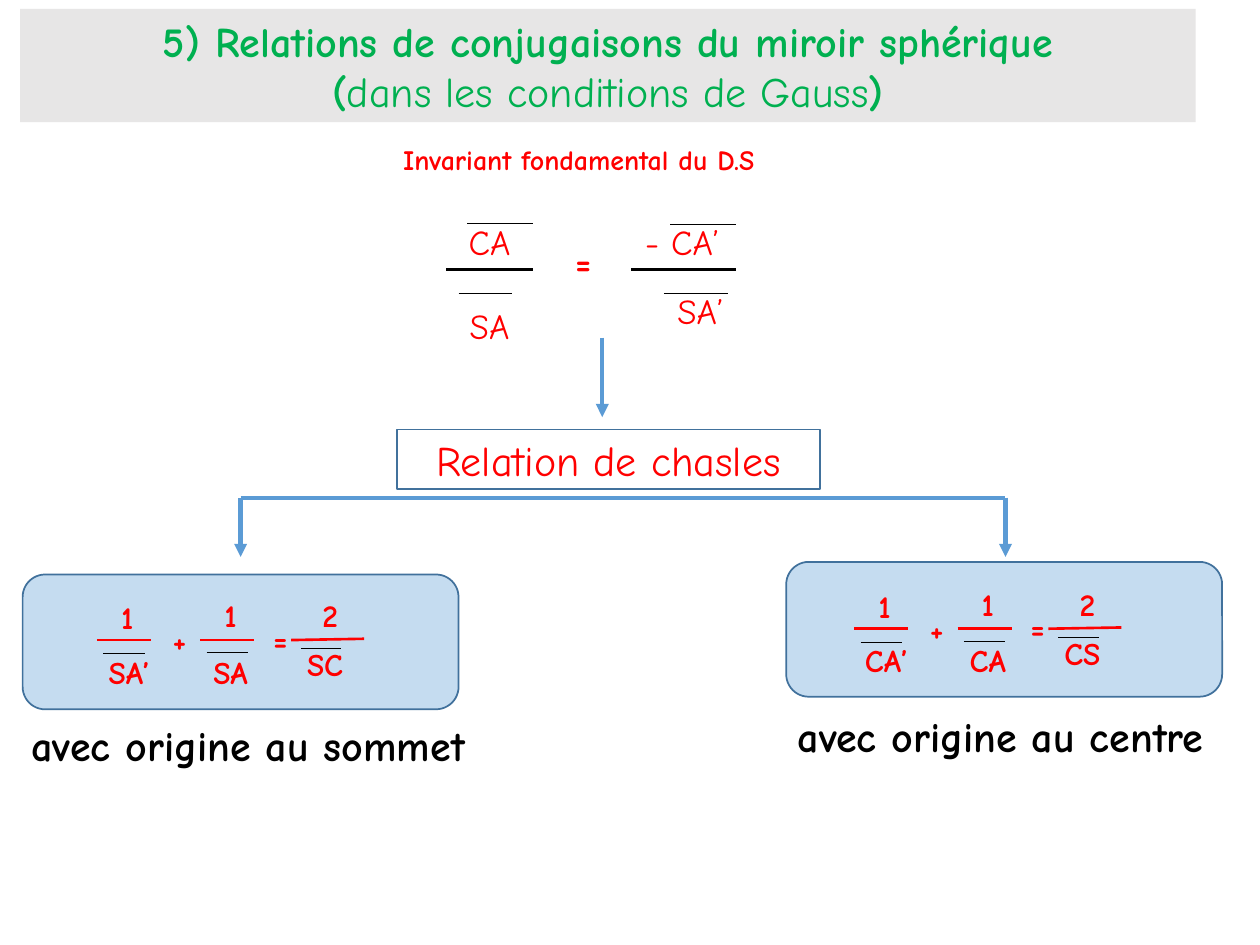
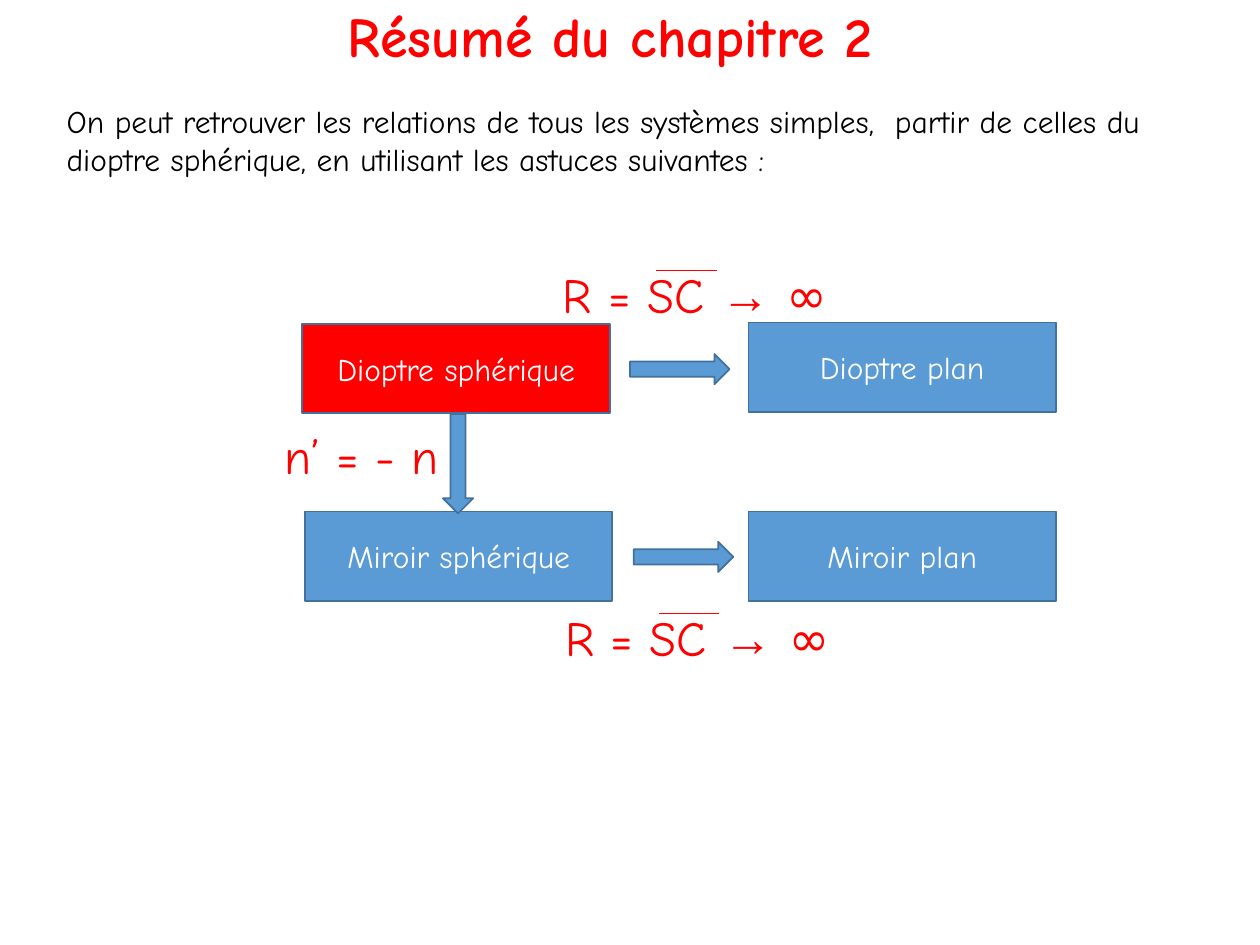
"""Build two slides on the conjugation relations of the spherical mirror."""
from lxml import etree
from pptx import Presentation
from pptx.dml.color import RGBColor
from pptx.enum.shapes import MSO_CONNECTOR, MSO_SHAPE, MSO_SHAPE_TYPE
from pptx.enum.text import MSO_ANCHOR, MSO_AUTO_SIZE, PP_ALIGN
from pptx.oxml.ns import qn
from pptx.util import Inches, Pt

RED = RGBColor(0xFF, 0x00, 0x00)
GREEN = RGBColor(0x00, 0xB0, 0x50)
BLUE = RGBColor(0x5B, 0x9B, 0xD5)
DARK_BLUE = RGBColor(0x41, 0x71, 0x9C)
GRAY = RGBColor(0xE7, 0xE6, 0xE6)
BLACK = RGBColor(0x00, 0x00, 0x00)
WHITE = RGBColor(0xFF, 0xFF, 0xFF)
FONT = "Comic Neue"
SYMBOL_FONT = "Arial"
LEFT, CENTER = PP_ALIGN.LEFT, PP_ALIGN.CENTER
TOP, MIDDLE = MSO_ANCHOR.TOP, MSO_ANCHOR.MIDDLE
NO_AUTOFIT = MSO_AUTO_SIZE.NONE
STRAIGHT = MSO_CONNECTOR.STRAIGHT
RECTANGLE, ROUNDED = MSO_SHAPE.RECTANGLE, MSO_SHAPE.ROUNDED_RECTANGLE
RIGHT_ARROW = MSO_SHAPE.RIGHT_ARROW
AUTO_SHAPE = MSO_SHAPE_TYPE.AUTO_SHAPE


def write(shape, *paragraphs, size=18, color=RED, bold=False, align=CENTER,
          anchor=TOP, wrap=True, spacing=1.0):
    """Fill a shape; a paragraph is a string or a list of (text, bold, font) runs."""
    frame = shape.text_frame
    frame.auto_size = NO_AUTOFIT
    frame.word_wrap = wrap
    frame.vertical_anchor = anchor
    for index, content in enumerate(paragraphs):
        paragraph = frame.add_paragraph() if index else frame.paragraphs[0]
        paragraph.alignment = align
        paragraph.line_spacing = spacing
        runs = [(content, bold, FONT)] if isinstance(content, str) else content
        for text, run_bold, font in runs:
            run = paragraph.add_run()
            run.text = text
            run.font.name = font
            run.font.size = Pt(size)
            run.font.bold = run_bold
            run.font.color.rgb = color


def connect(slide, start, end, color, width, arrow=False):
    """Draw a straight line, with an arrowhead at its end if asked."""
    connector = slide.shapes.add_connector(STRAIGHT, *map(Inches, start + end))
    connector.line.color.rgb = color
    connector.line.width = Pt(width)
    if arrow:
        etree.SubElement(connector.line._get_or_add_ln(), qn("a:tailEnd"), type="triangle")
    etree.SubElement(connector._element.spPr, qn("a:effectLst"))


presentation = Presentation()
presentation.slide_width = Inches(10)
presentation.slide_height = Inches(7.5)
title_only = presentation.slide_layouts[5]
relations, summary = [presentation.slides.add_slide(title_only) for _ in range(2)]
for slide, area in ((relations, (0.16, 0.07, 9.33, 0.9)), (summary, (1.01, 0, 7.67, 0.63))):
    title = slide.shapes.title
    title.left, title.top, title.width, title.height = map(Inches, area)

title = relations.shapes.title
title.fill.solid()
title.fill.fore_color.rgb = GRAY
write(title, "5) Relations de conjugaisons du miroir sphérique",
      [("(", True, FONT), ("dans les conditions de Gauss", False, FONT), (")", True, FONT)],
      size=24, color=GREEN, bold=True)

for text, area, size, color, spacing in (
        ("Invariant fondamental du D.S", (3.1, 1.11, 3.52, 0.41), 16, RED, 0.9),
        ("avec origine au sommet", (-0.08, 5.66, 4.1, 0.5), 24, BLACK, 1.0),
        ("avec origine au centre", (5.89, 5.59, 4.1, 0.5), 24, BLACK, 1.0)):
    write(relations.shapes.add_textbox(*map(Inches, area)), text, size=size, color=color,
          bold=True, spacing=spacing, align=LEFT if color == RED else CENTER)

connect(relations, (4.78, 2.68), (4.78, 3.31), BLUE, 2.5, arrow=True)
for branch in (1.91, 7.98):
    connect(relations, (branch, 3.95), (branch, 4.42), BLUE, 2.5, arrow=True)
connect(relations, (1.91, 3.95), (7.98, 3.95), BLUE, 2.5)

chasles = relations.shapes.add_shape(RECTANGLE, *map(Inches, (3.15, 3.41, 3.36, 0.47)))
chasles.fill.solid()
chasles.fill.fore_color.rgb = WHITE
write(chasles, "Relation de chasles", size=24, anchor=MIDDLE)

for text, area, bold in (
        ("CA", (3.24, 1.7, 1.29, 0.44), False),
        ("SA", (3.24, 2.37, 1.29, 0.44), False),
        ("=", (4.45, 1.86, 0.36, 0.44), True),
        ("- CA’", (4.77, 1.7, 1.29, 0.44), False),
        ("SA’", (5.28, 2.25, 0.56, 0.44), False)):
    write(relations.shapes.add_textbox(*map(Inches, area)), text, size=20, bold=bold,
          wrap=text != "SA’")
for start, end, y, width in (
        (3.54, 4.23, 2.14, 1.5), (5.01, 5.84, 2.14, 1.5),
        (3.71, 4.23, 1.77, 0.5), (5.32, 5.84, 1.78, 0.5),
        (3.64, 4.06, 2.33, 0.5), (5.27, 5.78, 2.33, 0.5)):
    connect(relations, (start, y), (end, y), BLACK, width)

FRACTIONS = (
    ("1", (0, 0.02), (0.17, 0.4, 0.6, 0.4), (0.22, 0.55, 0.51), (0.16, 0.45, 0.53)),
    ("1", (0.82, 0), (0.99, 0.4, 1.42, 0.4), (1.04, 1.37, 0.5), (0.99, 0.45, 0.48)),
    ("2", (1.61, 0), (1.71, 0.4, 2.29, 0.39), (1.79, 2.11, 0.47), (1.74, 0.39, 0.48)),
)
for panel_area, x, y, denominators in (
        ((0.18, 4.56, 3.46, 1.07), 0.6, 4.68, ("SA’", "SA", "SC")),
        ((6.24, 4.46, 3.46, 1.07), 6.61, 4.59, ("CA’", "CA", "CS"))):
    panel = relations.shapes.add_shape(ROUNDED, *map(Inches, panel_area))
    panel.fill.solid()
    panel.fill.fore_color.rgb = BLUE
    fill_color = panel._element.spPr.find(qn("a:solidFill")).find(qn("a:srgbClr"))
    etree.SubElement(fill_color, qn("a:alpha"), val="35000")
    labels = [("+", 0.67, 0.2, 0.31, False), ("=", 1.47, 0.19, 0.23, True)]
    for denominator, fraction in zip(denominators, FRACTIONS):
        numerator, numerator_at, bar, overline, (left, top, width) = fraction
        labels.append((numerator, *numerator_at, 0.82, True))
        labels.append((denominator, left, top, width, False))
        connect(relations, (x + bar[0], y + bar[1]), (x + bar[2], y + bar[3]), RED, 1.5)
        start, end, height = overline
        connect(relations, (x + start, y + height), (x + end, y + height), BLACK, 0.5)
    for text, left, top, width, wrap in labels:
        area = (x + left, y + top, width, 0.4)
        write(relations.shapes.add_textbox(*map(Inches, area)), text, bold=True, wrap=wrap)

write(summary.shapes.title, "Résumé du chapitre 2", size=32, bold=True, anchor=MIDDLE,
      spacing=0.9)

for text, left, top, fill in (
        ("Dioptre sphérique", 2.4, 2.57, RED), ("Dioptre plan", 5.94, 2.56, BLUE),
        ("Miroir sphérique", 2.42, 4.06, BLUE), ("Miroir plan", 5.94, 4.06, BLUE)):
    system = summary.shapes.add_shape(RECTANGLE, *map(Inches, (left, top, 2.44, 0.71)))
    system.fill.solid()
    system.fill.fore_color.rgb = fill
    write(system, text, color=WHITE, anchor=MIDDLE)

for left, top, rotation in ((5, 2.81, 0), (5.03, 4.3, 0), (3.24, 3.56, 90)):
    arrow = summary.shapes.add_shape(RIGHT_ARROW, *map(Inches, (left, top, 0.79, 0.24)))
    arrow.rotation = rotation
    arrow.fill.solid()
    arrow.fill.fore_color.rgb = BLUE

infinite_radius = [("R = SC ", False, FONT), ("→", False, SYMBOL_FONT), (" ∞", False, FONT)]
for left, top, condition in (
        (4.37, 2.05, infinite_radius), (4.39, 4.77, infinite_radius), (2.16, 3.33, "n’ = - n")):
    label = summary.shapes.add_textbox(*map(Inches, (left, top, 2.36, 0.57)))
    write(label, condition, size=28, align=LEFT)
    if condition == infinite_radius:
        connect(summary, (left + 0.84, top + 0.1), (left + 1.32, top + 0.1), RED, 0.5)

introduction = summary.shapes.add_textbox(*map(Inches, (0.43, 0.76, 9.29, 0.7)))
write(introduction, "On peut retrouver les relations de tous les systèmes simples,  partir de "
      "celles du dioptre sphérique, en utilisant les astuces suivantes :",
      color=BLACK, align=LEFT)

for slide in (relations, summary):
    for shape in slide.shapes:
        if shape.shape_type == AUTO_SHAPE:
            shape.shadow.inherit = False
            shape.line.color.rgb = DARK_BLUE
            shape.line.width = Pt(1)

presentation.save("out.pptx")
